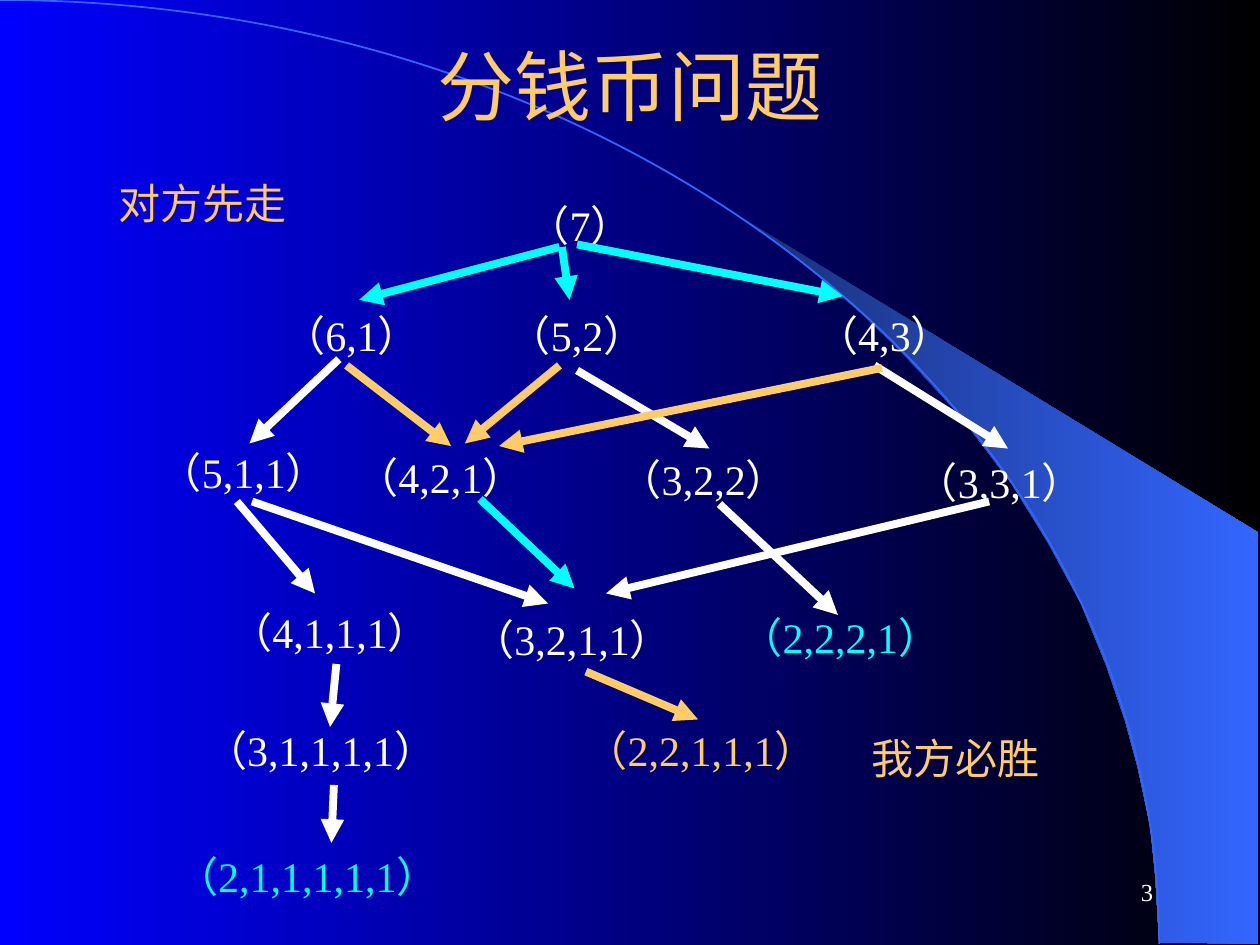
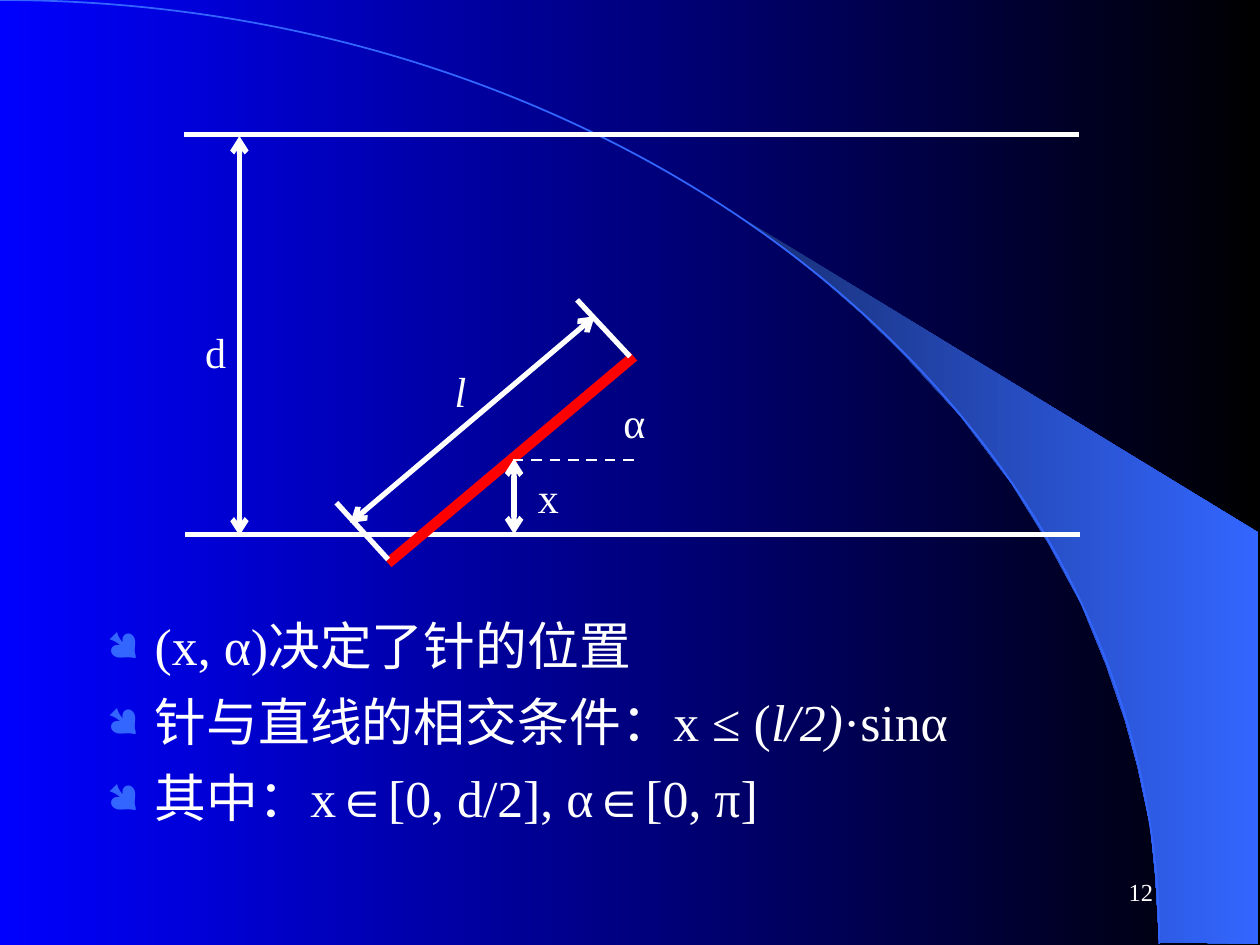
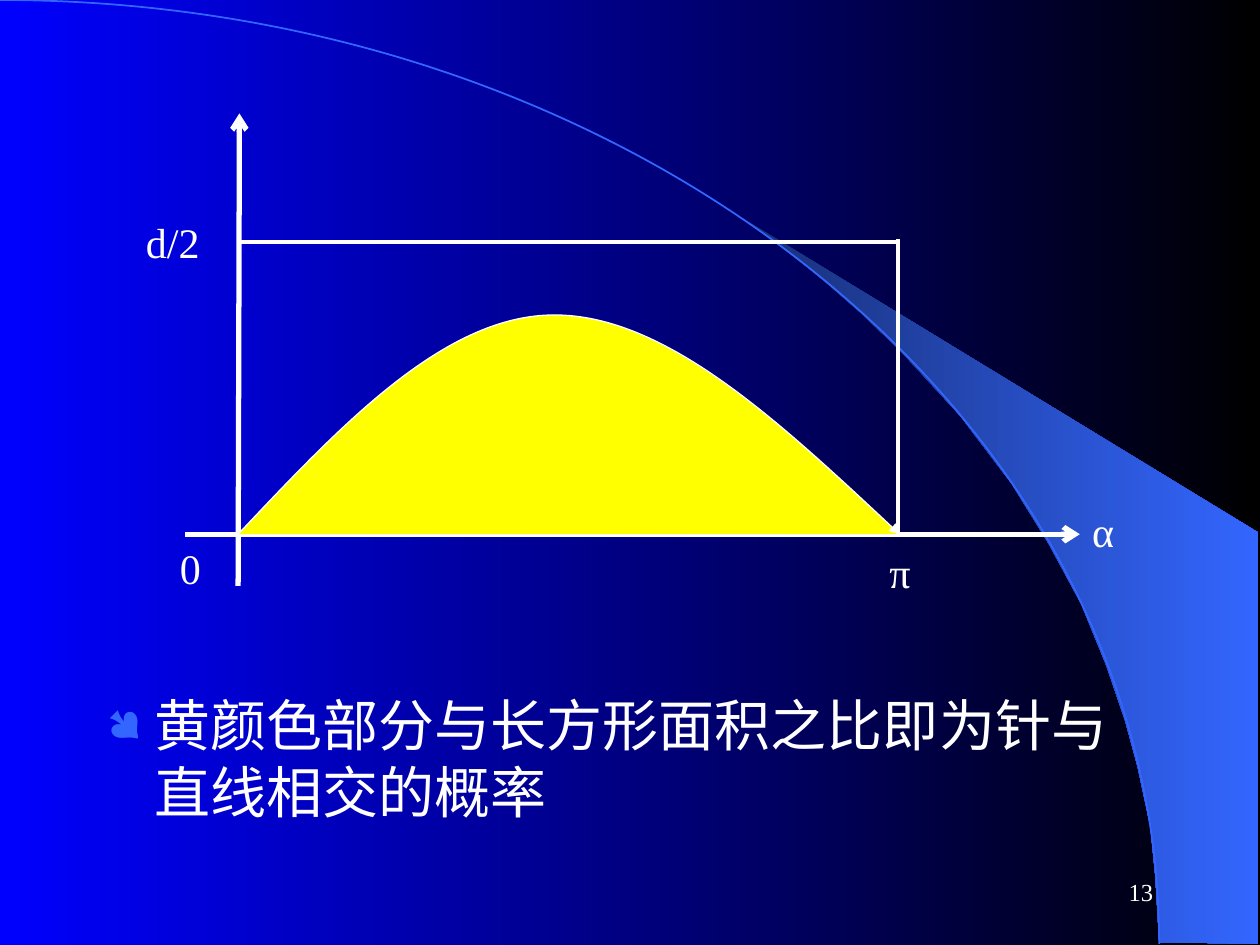
from lxml import etree
from pptx import Presentation
from pptx.dml.color import RGBColor
from pptx.enum import dml, shapes, text
from pptx.oxml import ns
from pptx.util import Inches, Pt

# Shared look
WHITE = RGBColor(0xFF, 0xFF, 0xFF)
BLACK = RGBColor(0x00, 0x00, 0x00)
BLUE = RGBColor(0x00, 0x00, 0xFF)
NAVY = RGBColor(0x18, 0x2F, 0x76)
SKY = RGBColor(0x33, 0x66, 0xFF)
GOLD = RGBColor(0xFF, 0xCC, 0x66)
CYAN = RGBColor(0x00, 0xFF, 0xFF)
RED = RGBColor(0xFF, 0x00, 0x00)
YELLOW = RGBColor(0xFF, 0xFF, 0x00)
BODY_FONT, TITLE_FONT, BULLET_FONT = "Times New Roman", "Arial", "Wingdings"
LABEL_HEIGHT = 0.5

ARC = [(0, 0), (5.08, 0), (9.2, 3.35), (9.2, 7.49)]
BAND = [(9.2, 7.48), (9.99, 7.49), (9.99, 4.23), (5.89, 1.73), (6.24, 1.99),
        (6.53, 2.22), (6.85, 2.5), (7.16, 2.8), (7.62, 3.3), (8.03, 3.84),
        (8.32, 4.31), (8.58, 4.79), (8.78, 5.28), (8.93, 5.72), (9.03, 6.09),
        (9.13, 6.56), (9.17, 6.96), (9.2, 7.48)]

# Coin game: states (numbers, left, top, colour) and moves (from, to, colour)
GAME_TITLE = "分钱币问题"
STATES = [
    ("7", 4.01, 1.53, WHITE),
    ("6,1", 2.07, 2.41, WHITE),
    ("5,2", 3.86, 2.41, WHITE),
    ("4,3", 6.3, 2.41, WHITE),
    ("5,1,1", 1.09, 3.49, WHITE),
    ("4,2,1", 2.65, 3.53, WHITE),
    ("3,2,2", 4.74, 3.55, WHITE),
    ("3,3,1", 7.09, 3.57, WHITE),
    ("4,1,1,1", 1.65, 4.76, WHITE),
    ("3,2,1,1", 3.57, 4.82, WHITE),
    ("2,2,2,1", 5.7, 4.8, CYAN),
    ("3,1,1,1,1", 1.45, 5.7, WHITE),
    ("2,2,1,1,1", 4.47, 5.7, GOLD),
    ("2,1,1,1,1,1", 1.22, 6.7, CYAN),
]
MOVES = [
    ((4.44, 1.96), (2.85, 2.38), CYAN),
    ((4.46, 1.96), (4.52, 2.38), CYAN),
    ((4.58, 1.94), (6.69, 2.35), CYAN),
    ((2.69, 2.85), (1.98, 3.52), WHITE),
    ((2.75, 2.9), (3.58, 3.54), GOLD),
    ((4.44, 2.9), (3.69, 3.52), GOLD),
    ((4.58, 2.94), (5.63, 3.56), WHITE),
    ((6.94, 2.9), (8, 3.56), WHITE),
    ((7, 2.92), (3.96, 3.54), GOLD),
    ((1.88, 3.98), (2.5, 4.71), WHITE),
    ((2, 3.98), (4.35, 4.79), WHITE),
    ((3.81, 3.96), (4.56, 4.67), CYAN),
    ((5.71, 4), (6.65, 4.88), WHITE),
    ((7.85, 3.98), (4.81, 4.71), WHITE),
    ((4.65, 5.33), (5.54, 5.71), GOLD),
    ((2.67, 5.27), (2.62, 5.77), WHITE),
    ((2.65, 6.23), (2.63, 6.69), WHITE),
]
REMARKS = [("对方先走", 0.84, 1.36), ("我方必胜", 6.82, 5.76)]

# Needle: lines (from, to, format), labels and conditions
DOUBLE = {"head": "arrow", "tail": "arrow"}
NEEDLE_LINES = [
    ((1.47, 4.24), (8.57, 4.24), {}),
    ((1.9, 4.25), (1.9, 1.08), DOUBLE),
    ((1.46, 1.07), (8.56, 1.07), {}),
    ((3.08, 4.47), (5.03, 2.83), {"color": RED, "width": 6}),
    ((4.08, 3.64), (4.08, 4.24), DOUBLE),
    ((4.58, 2.38), (5, 2.83), {}),
    ((2.67, 3.99), (3.08, 4.44), {}),
    ((2.78, 4.15), (4.72, 2.51), DOUBLE),
    ((4.07, 3.65), (5.04, 3.65),
     {"width": 1.5, "dash": dml.MSO_LINE.DASH}),
]
NEEDLE_LABELS = [("d", 1.53, 2.54), (("l", True), 3.51, 2.85),
                 ("x", 4.17, 3.69), ("α", 4.85, 3.1)]
CONDITIONS = [
    ["(x, α)决定了针的位置"],
    ["针与直线的相交条件：x ≤ (", ("l/2)", True), "·sinα"],
    ["其中：x∈[0, d/2], α∈[0, π]"],
]

# Probability: axes, rectangle, sine hump
AXES = [((1.47, 4.24), (8.57, 4.24)), ((1.89, 4.65), (1.9, 0.9))]
RECTANGLE_SIDES = [((7.13, 4.24), (7.13, 1.9)), ((7.13, 1.92), (1.89, 1.92))]
HUMP = [(1.89, 4.24), (2.71, 3.37), (3.53, 2.5), (4.4, 2.5),
        (5.28, 2.5), (6.21, 3.37), (7.14, 4.24)]
AXIS_LABELS = [("d/2", 1.06, 1.67), ("π", 6.96, 4.29),
               ("α", 8.57, 3.96), ("0", 1.33, 4.26)]
CONCLUSION = [["黄颜色部分与长方形面积之比即为针与直线相交的概率"]]


def add_child(parent, tag, **attributes):
    child = etree.SubElement(parent, ns.qn(tag))
    for name, value in attributes.items():
        child.set(name, str(value))
    return child


def add_bullet(para):
    props = para._p.get_or_add_pPr()
    props.set("marL", str(Inches(0.38)))
    props.set("indent", str(-Inches(0.38)))
    add_child(add_child(props, "a:buClr"), "a:srgbClr", val=SKY)
    add_child(props, "a:buSzPct", val=80000)
    add_child(props, "a:buFont", typeface=BULLET_FONT)
    add_child(props, "a:buChar", char="●")


def add_text(page, paragraphs, left, top, width, height=LABEL_HEIGHT, size=24,
             color=WHITE, font=BODY_FONT, align=text.PP_ALIGN.LEFT,
             anchor=text.MSO_ANCHOR.TOP, wrap=True, bullet=False):
    """Each paragraph is a list of spans: a string, or (string, italic)."""
    box = page.shapes.add_textbox(*map(Inches, (left, top, width, height)))
    frame = box.text_frame
    frame.word_wrap = wrap
    frame.vertical_anchor = anchor
    for index, spans in enumerate(paragraphs):
        para = frame.add_paragraph() if index else frame.paragraphs[0]
        para.alignment = align
        if bullet:
            add_bullet(para)
        if index:
            para.space_before = Pt(8)
        for part in spans:
            words, italic = (part, None) if isinstance(part, str) else part
            span = para.add_run()
            span.text = words
            span.font.size = Pt(size)
            span.font.name = font
            span.font.color.rgb = color
            span.font.italic = italic


def add_centred(page, words, left, top, width, **options):
    add_text(page, [[words]], left, top, width, align=text.PP_ALIGN.CENTER,
             anchor=text.MSO_ANCHOR.MIDDLE, **options)


def add_ends(line, head, tail):
    for tag, kind in (("a:headEnd", head), ("a:tailEnd", tail)):
        if kind:
            add_child(line._get_or_add_ln(), tag, type=kind)


def add_line(page, start, end, color=WHITE, width=3, dash=None,
             head=None, tail=None):
    connector = page.shapes.add_connector(
        shapes.MSO_CONNECTOR.STRAIGHT, *map(Inches, start + end))
    connector.line.color.rgb = color
    connector.line.width = Pt(width)
    if dash:
        connector.line.dash_style = dash
    add_ends(connector.line, head, tail)
    add_child(connector._element.spPr, "a:effectLst")


def add_outline(page, points, closed=False):
    first, *rest = [tuple(map(Inches, point)) for point in points]
    builder = page.shapes.build_freeform(*first)
    builder.add_line_segments(rest, close=closed)
    outline = builder.convert_to_shape()
    outline.shadow.inherit = False
    return outline


def add_curve(page, points):
    """Start point, then two control points and an end point per piece."""
    curve = add_outline(page, points)
    route = next(curve._element.iter(ns.qn("a:path")))
    segments = route.findall(ns.qn("a:lnTo"))
    for index in range(0, len(segments), 3):
        bend = add_child(route, "a:cubicBezTo")
        for segment in segments[index:index + 3]:
            bend.append(segment[0])
            route.remove(segment)
    return curve


def set_gradient(fill, start, end):
    fill.gradient()
    fill.gradient_angle = 0
    for stop, color in zip(fill.gradient_stops, (start, end)):
        stop.color.rgb = color


def decorate_master(deck, page):
    """Draw the backdrop on a page, then move it to the master."""
    master = deck.slide_master
    set_gradient(master.background.fill, BLUE, BLACK)
    band = add_outline(page, BAND, closed=True)
    set_gradient(band.fill, NAVY, SKY)
    band.line.fill.background()
    arc = add_curve(page, ARC)
    arc.fill.background()
    arc.line.color.rgb = SKY
    arc.line.width = Pt(1)
    for number, part in enumerate((band, arc), start=101):
        part._element.nvSpPr.cNvPr.set("id", str(number))
        master.shapes._spTree.append(part._element)


def add_page(deck, number):
    page = deck.slides.add_slide(deck.slide_layouts[6])
    add_text(page, [[str(number)]], 7.17, 6.83, 2.08, size=14,
             align=text.PP_ALIGN.RIGHT, anchor=text.MSO_ANCHOR.MIDDLE)
    return page


def add_labels(page, labels, width):
    for words, left, top in labels:
        add_text(page, [[words]], left, top, width)


def fill_game(page):
    add_centred(page, GAME_TITLE, 0.75, 0.27, 8.5, height=0.81, size=44,
                color=GOLD, font=TITLE_FONT)
    for numbers, left, top, color in STATES:
        width = 1.19 + 0.25 * numbers.count(",")
        add_centred(page, f"（{numbers}）", left, top, width,
                    color=color, wrap=False)
    for start, end, color in MOVES:
        add_line(page, start, end, color, width=4.5, tail="triangle")
    for words, left, top in REMARKS:
        add_centred(page, words, left, top, 1.53, color=GOLD, wrap=False)


def fill_needle(page):
    for start, end, options in NEEDLE_LINES:
        add_line(page, start, end, **options)
    add_labels(page, NEEDLE_LABELS, 0.54)
    add_text(page, CONDITIONS, 0.75, 4.82, 8.5, 1.85, size=29.6, bullet=True)


def fill_probability(page):
    add_text(page, CONCLUSION, 0.75, 5.43, 8.5, 1.24, size=32, bullet=True)
    for start, end in AXES:
        add_line(page, start, end, tail="arrow")
    hump = add_curve(page, HUMP)
    hump.fill.solid()
    hump.fill.fore_color.rgb = YELLOW
    hump.line.color.rgb = WHITE
    hump.line.width = Pt(0.75)
    add_ends(hump.line, None, "triangle")
    for start, end in RECTANGLE_SIDES:
        add_line(page, start, end, width=2.25)
    add_labels(page, AXIS_LABELS, 0.76)


def main():
    deck = Presentation()
    deck.slide_width, deck.slide_height = Inches(10), Inches(7.5)
    pages = [add_page(deck, number) for number in (3, 12, 13)]
    decorate_master(deck, pages[0])
    for fill_page, page in zip((fill_game, fill_needle, fill_probability),
                               pages):
        fill_page(page)
    deck.save("out.pptx")


if __name__ == "__main__":
    main()
